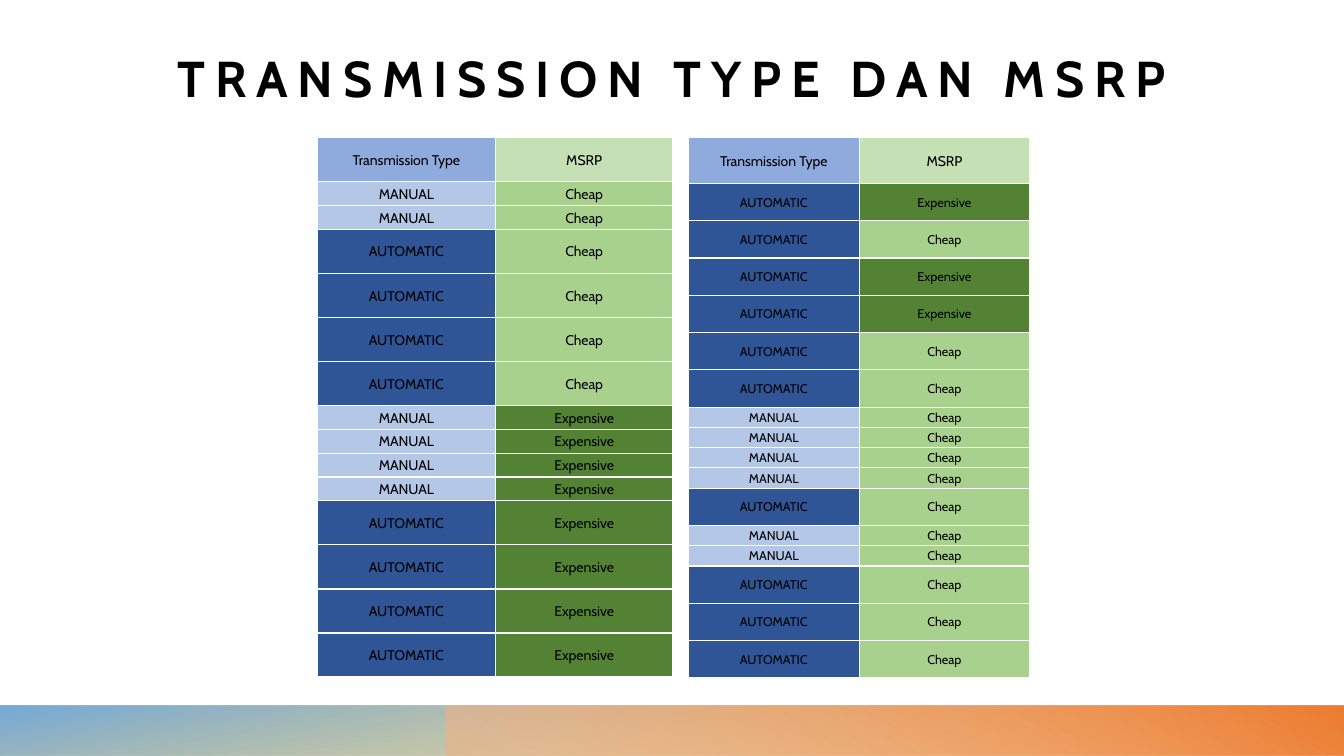
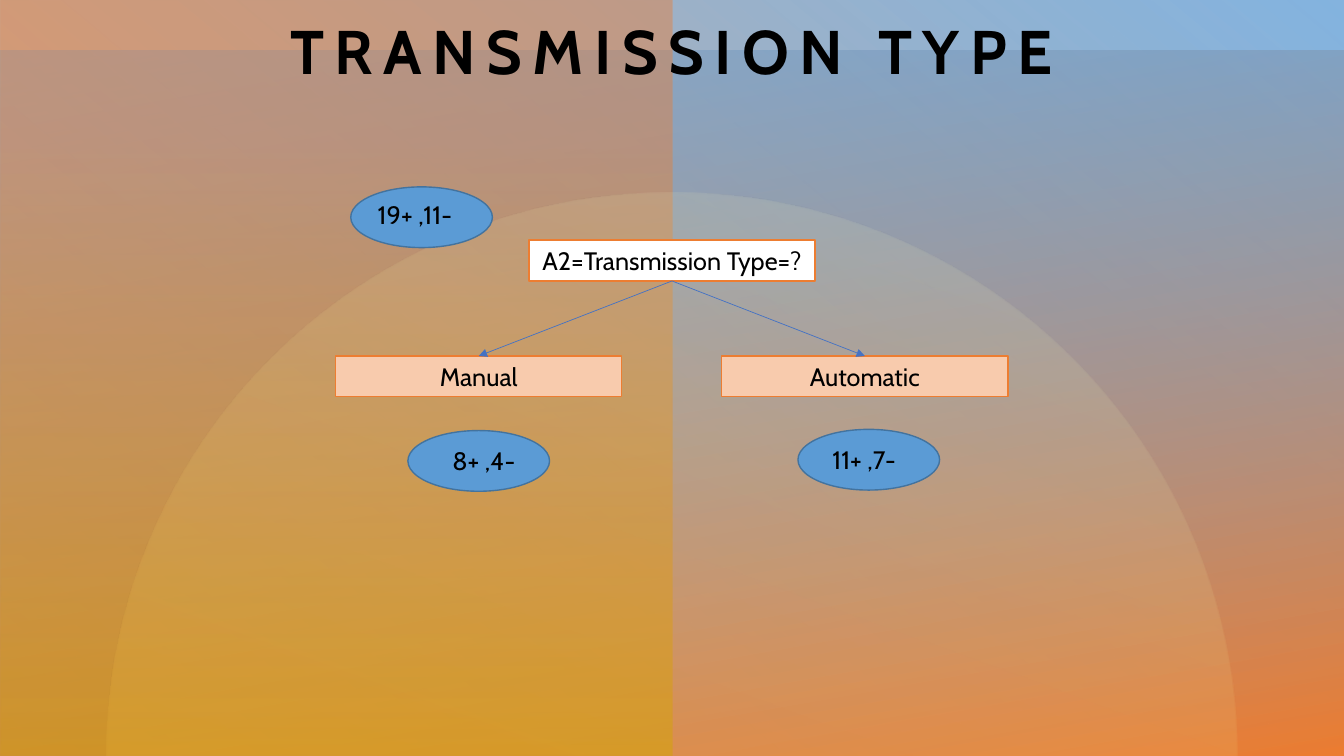
from dataclasses import dataclass
from math import cos, pi, sin

from pptx import Presentation
from pptx.dml.color import RGBColor
from pptx.enum.shapes import MSO_CONNECTOR, MSO_SHAPE
from pptx.enum.text import MSO_ANCHOR, MSO_AUTO_SIZE, PP_ALIGN
from pptx.oxml import parse_xml
from pptx.oxml.ns import nsdecls
from pptx.util import Cm, Pt

# Shared style
FONT = "Cabin"
BLACK, WHITE = "000000", "FFFFFF"
BLUE, ORANGE, GOLD, PEACH = "5B9BD5", "ED7D31", "CF9B00", "F4B183"
OVAL_LINE, ARROW_BLUE, BRANCH_FILL = "43739E", "4472C4", "F8CBAD"
CELL_FILLS = {
    "Transmission Type": "8FAADC", "MSRP": "C5E0B4",
    "MANUAL": "B4C7E7", "AUTOMATIC": "2F5597",
    "Cheap": "A9D18E", "Expensive": "548235",
}
SLIDE_W, SLIDE_H, BAND_H = 33.87, 19.05, 1.27


@dataclass(frozen=True)
class Box:
    left: float
    top: float
    width: float
    height: float

    def emu(self) -> tuple:
        return Cm(self.left), Cm(self.top), Cm(self.width), Cm(self.height)


@dataclass(frozen=True)
class Stop:
    position: int
    color: str
    opacity: int = 100


@dataclass(frozen=True)
class Layer:
    box: Box
    angle: int
    stops: tuple
    rotation: int = 0
    flipped: bool = False


@dataclass(frozen=True)
class Grid:
    left: float
    top: float
    column: float
    size: float
    heights: dict
    rows: list


@dataclass(frozen=True)
class Node:
    text: str
    left: float
    top: float
    fill: str


@dataclass(frozen=True)
class Count:
    text: str
    left: float
    top: float
    label: Box


FULL = Box(0, 0, SLIDE_W, SLIDE_H)
FOOTER = [
    Layer(Box(0, SLIDE_H - BAND_H, SLIDE_W, BAND_H), 100,
          (Stop(14, GOLD, 28), Stop(100, BLUE, 85)), 180, True),
    Layer(Box(11.23, SLIDE_H - BAND_H, SLIDE_W - 11.23, BAND_H), 240,
          (Stop(9, PEACH, 55), Stop(99, ORANGE)), 0, True),
]


def rgb(color: str) -> RGBColor:
    return RGBColor.from_string(color)


def style_text(frame, text: str, size: float, align=None, bold: bool = False,
               spacing: float = 0) -> None:
    frame.text = text
    paragraph = frame.paragraphs[0]
    paragraph.alignment = align
    font = paragraph.runs[0].font
    font.name, font.size, font.bold = FONT, Pt(size), bold
    font.color.rgb = rgb(BLACK)
    if spacing:
        paragraph.runs[0]._r.get_or_add_rPr().set("spc", str(int(spacing * 100)))


def add_title(slide, box: Box, text: str, size: float, spacing: float, anchor) -> None:
    frame = slide.shapes.add_textbox(*box.emu()).text_frame
    frame.word_wrap = True
    frame.vertical_anchor = anchor
    frame.margin_left = frame.margin_right = frame.margin_top = frame.margin_bottom = 0
    style_text(frame, text, size, PP_ALIGN.CENTER, True, spacing)


def add_solid(slide, kind, box: Box, fill: str, line: str = ""):
    shape = slide.shapes.add_shape(kind, *box.emu())
    shape.shadow.inherit = False
    shape.fill.solid()
    shape.fill.fore_color.rgb = rgb(fill)
    if line:
        shape.line.color.rgb = rgb(line)
        shape.line.width = Pt(1)
    else:
        shape.line.fill.background()
    return shape


def apply_gradient(shape, angle: int, stops: tuple) -> None:
    marks = "".join(
        f'<a:gs pos="{stop.position * 1000}"><a:srgbClr val="{stop.color}">'
        f'<a:alpha val="{stop.opacity * 1000}"/></a:srgbClr></a:gs>'
        for stop in stops)
    gradient = parse_xml(
        f'<a:gradFill {nsdecls("a")} rotWithShape="1"><a:gsLst>{marks}</a:gsLst>'
        f'<a:lin ang="{angle * 60000}" scaled="0"/></a:gradFill>')
    shape.shadow.inherit = False
    shape.line.fill.background()
    shape.fill.background()
    properties = shape._element.spPr
    properties.replace(properties.find("{*}noFill"), gradient)


def add_layer(slide, layer: Layer) -> None:
    shape = slide.shapes.add_shape(MSO_SHAPE.RECTANGLE, *layer.box.emu())
    shape.rotation = layer.rotation
    if layer.flipped:
        shape._element.spPr.xfrm.set("flipH", "1")
    apply_gradient(shape, layer.angle, layer.stops)


def fill_cell(cell, text: str, size: float) -> None:
    cell.margin_left = cell.margin_right = cell.margin_top = Cm(0.03)
    cell.margin_bottom = 0
    cell.vertical_anchor = MSO_ANCHOR.MIDDLE
    style_text(cell.text_frame, text, size, PP_ALIGN.CENTER)
    for side in "LRTB":
        cell._tc.get_or_add_tcPr().append(parse_xml(
            f'<a:ln{side} {nsdecls("a")} w="12700"><a:solidFill>'
            f'<a:srgbClr val="{WHITE}"/></a:solidFill></a:ln{side}>'))
    cell.fill.solid()
    cell.fill.fore_color.rgb = rgb(CELL_FILLS[text])


def add_grid(slide, grid: Grid) -> None:
    heights = [grid.heights[row[0]] for row in grid.rows]
    box = Box(grid.left, grid.top, 2 * grid.column, sum(heights))
    table = slide.shapes.add_table(len(grid.rows), 2, *box.emu()).table
    table.first_row = table.horz_banding = False
    for column in table.columns:
        column.width = Cm(grid.column)
    for r, (row, height) in enumerate(zip(grid.rows, heights)):
        table.rows[r].height = Cm(height)
        for c, text in enumerate(row):
            fill_cell(table.cell(r, c), text, grid.size)


def add_sun(slide) -> None:
    center, radius_x, radius_y, steps = SLIDE_W / 2, 14.25, 14.2, 90
    points = [(Cm(center - radius_x * cos(pi * i / steps)),
               Cm(SLIDE_H - radius_y * sin(pi * i / steps))) for i in range(steps + 1)]
    builder = slide.shapes.build_freeform(*points[0])
    builder.add_line_segments(points[1:], close=True)
    apply_gradient(builder.convert_to_shape(), 290,
                   (Stop(7, "FFD149", 12), Stop(100, "E2F0D9", 15)))


def add_node(slide, node: Node):
    shape = add_solid(slide, MSO_SHAPE.RECTANGLE,
                      Box(node.left, node.top, 7.21, 1.03), node.fill, ORANGE)
    shape.text_frame.word_wrap = True
    shape.text_frame.auto_size = MSO_AUTO_SIZE.SHAPE_TO_FIT_TEXT
    style_text(shape.text_frame, node.text, 18, PP_ALIGN.CENTER)
    return shape


def add_count(slide, count: Count) -> None:
    add_solid(slide, MSO_SHAPE.OVAL, Box(count.left, count.top, 3.57, 1.53),
              BLUE, OVAL_LINE)
    frame = slide.shapes.add_textbox(*count.label.emu()).text_frame
    frame.word_wrap = True
    frame.auto_size = MSO_AUTO_SIZE.SHAPE_TO_FIT_TEXT
    style_text(frame, count.text, 18)


def add_arrow(slide, parent, child) -> None:
    arrow = slide.shapes.add_connector(MSO_CONNECTOR.STRAIGHT, 0, 0, 0, 0)
    arrow.begin_connect(parent, 2)
    arrow.end_connect(child, 0)
    arrow.line.color.rgb = rgb(ARROW_BLUE)
    arrow.line.width = Pt(0.5)
    arrow.line._get_or_add_ln().append(
        parse_xml(f'<a:tailEnd {nsdecls("a")} type="triangle"/>'))
    arrow._element.spPr.append(parse_xml(f'<a:effectLst {nsdecls("a")}/>'))


HEADER = [("Transmission Type", "MSRP")]
MANUAL_CHEAP, MANUAL_EXPENSIVE = [("MANUAL", "Cheap")], [("MANUAL", "Expensive")]
AUTO_CHEAP, AUTO_EXPENSIVE = [("AUTOMATIC", "Cheap")], [("AUTOMATIC", "Expensive")]
GRIDS = [
    Grid(8, 3.47, 4.48, 10,
         {"Transmission Type": 1.11, "MANUAL": 0.6, "AUTOMATIC": 1.11},
         HEADER + MANUAL_CHEAP * 2 + AUTO_CHEAP * 4
         + MANUAL_EXPENSIVE * 4 + AUTO_EXPENSIVE * 4),
    Grid(17.35, 4.62, 4.3, 9, {"MANUAL": 0.51, "AUTOMATIC": 0.94},
         AUTO_EXPENSIVE + AUTO_CHEAP + AUTO_EXPENSIVE * 2 + AUTO_CHEAP * 2
         + MANUAL_CHEAP * 4 + AUTO_CHEAP + MANUAL_CHEAP * 2 + AUTO_CHEAP * 3),
    Grid(17.35, 3.47, 4.3, 10, {"Transmission Type": 1.15}, HEADER),
]
BACKDROP = [
    Layer(FULL, 230, (Stop(0, BLUE, 75), Stop(100, PEACH)), 180, True),
    Layer(Box(0, BAND_H, SLIDE_W, SLIDE_H - BAND_H), 260,
          (Stop(0, BLUE, 37), Stop(100, ORANGE)), 180),
    Layer(Box(0, 0, SLIDE_W / 2, SLIDE_H), 270,
          (Stop(19, ORANGE, 41), Stop(99, GOLD, 56)), 180, True),
]
QUESTION = Node("A2=Transmission Type=?", 13.33, 6.05, WHITE)
BRANCHES = [Node("Manual", 8.46, 8.97, BRANCH_FILL),
            Node("Automatic", 18.19, 8.97, BRANCH_FILL)]
COUNTS = [
    Count("19+ ,11-", 8.84, 4.71, Box(9.27, 4.9, 2.72, 1.03)),
    Count("8+ ,4-", 10.28, 10.85, Box(11.15, 11.1, 2.16, 1.03)),
    Count("11+ ,7-", 20.11, 10.82, Box(20.73, 11.07, 2.34, 1.03)),
]

deck = Presentation()
deck.slide_width, deck.slide_height = Cm(SLIDE_W), Cm(SLIDE_H)
blank = deck.slide_layouts[6]

# Slide 1: data tables
data = deck.slides.add_slide(blank)
for band in FOOTER:
    add_layer(data, band)
add_title(data, Box(2.72, 0.76, 28.45, 1.96), "TRANSMISSION TYPE DAN MSRP", 36, 7,
          MSO_ANCHOR.BOTTOM)
for sample in GRIDS:
    add_grid(data, sample)

# Slide 2: decision tree
tree = deck.slides.add_slide(blank)
add_solid(tree, MSO_SHAPE.RECTANGLE, FULL, WHITE)
for wash in BACKDROP:
    add_layer(tree, wash)
add_sun(tree)
add_title(tree, Box(4.23, 0.05, 25.4, 2.41), "TRANSMISSION TYPE", 44, 7.5,
          MSO_ANCHOR.MIDDLE)
root = add_node(tree, QUESTION)
for branch in BRANCHES:
    add_arrow(tree, root, add_node(tree, branch))
for tally in COUNTS:
    add_count(tree, tally)

deck.save("out.pptx")
